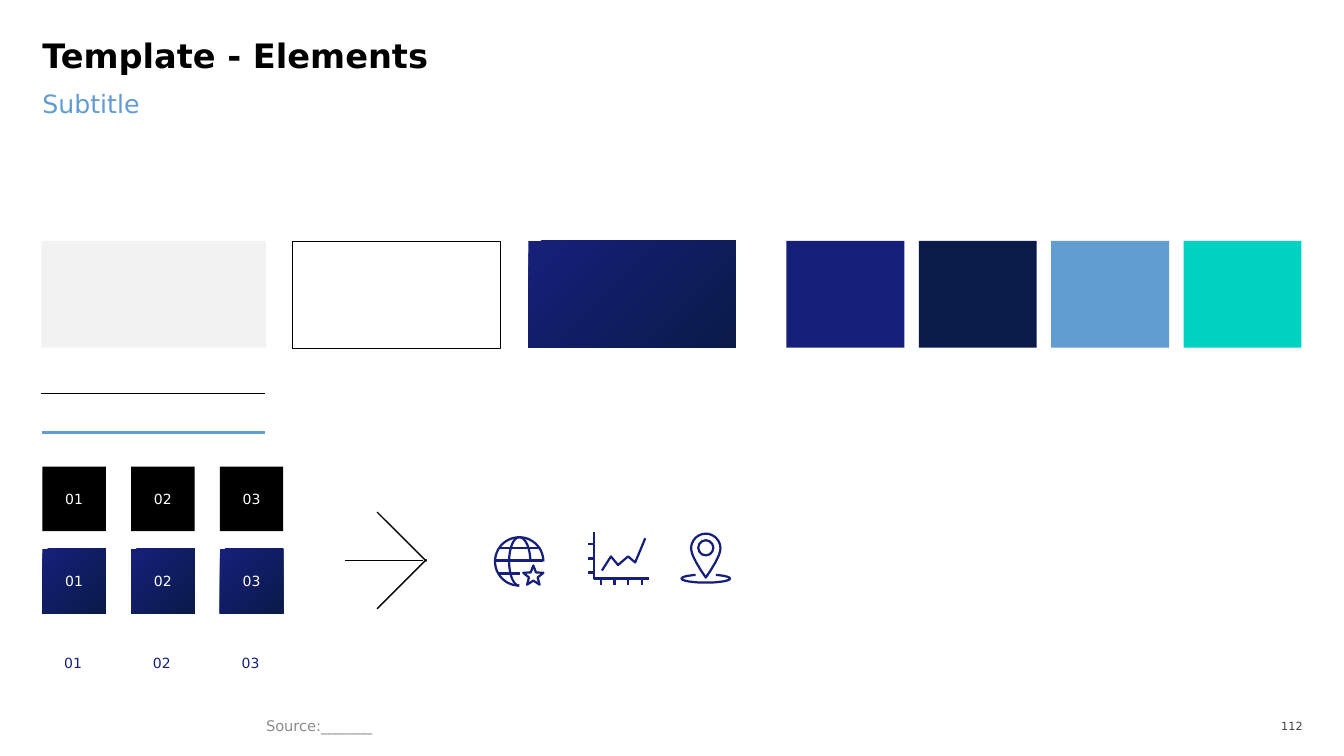
import math

import pptx
import pptx.util
import pptx.dml.color
import pptx.enum.shapes
import pptx.enum.text
import pptx.oxml.ns
from lxml import etree

COLORS = {
    "black": "000000", "white": "FFFFFF", "pale": "F2F2F2", "navy": "16207B",
    "midnight": "0A1A49", "sky": "629DD1", "subtitle": "629CD0",
    "teal": "00D2C2", "source": "8C8C8C", "number": "404040",
}
RGB = {name: pptx.dml.color.RGBColor.from_string(code) for name, code in COLORS.items()}
ALIGN = pptx.enum.text.PP_ALIGN
ANCHOR = pptx.enum.text.MSO_ANCHOR
SHAPE = pptx.enum.shapes.MSO_SHAPE
ICON_WIDTH = 1.6

deck = pptx.Presentation()
deck.slide_width = pptx.util.Inches(13.33)
deck.slide_height = pptx.util.Inches(7.5)
page = deck.slides.add_slide(deck.slide_layouts[6])
column = deck.slide_width / 133.3
row = deck.slide_height / 75


def write(box, text, size, color, align=ALIGN.LEFT, anchor=ANCHOR.TOP,
          bold=False, margins=(0, 0), after=0, spacing=1.0):
    frame = box.text_frame
    frame.word_wrap = True
    frame.vertical_anchor = anchor
    frame.margin_left = frame.margin_right = pptx.util.Inches(margins[0])
    frame.margin_top = frame.margin_bottom = pptx.util.Inches(margins[1])
    para = frame.paragraphs[0]
    para.alignment = align
    para.space_after = pptx.util.Pt(after)
    para.line_spacing = spacing
    span = para.add_run()
    span.text = text
    span.font.name = "DejaVu Sans"
    span.font.size = pptx.util.Pt(size)
    span.font.bold = bold
    span.font.color.rgb = RGB[color]


def trace(points, close=False):
    builder = page.shapes.build_freeform(
        round(points[0][0] * 100), round(points[0][1] * 100),
        scale=(column / 100, row / 100))
    builder.add_line_segments(
        [(round(x * 100), round(y * 100)) for x, y in points[1:]], close=close)
    outline = builder.convert_to_shape()
    outline.shadow.inherit = False
    outline.fill.background()
    outline.line.color.rgb = RGB["navy"]
    outline.line.width = pptx.util.Pt(ICON_WIDTH)


texts = [
    (4.2, 4.2, 124.9, 5.3, "Template - Elements",
     dict(size=24, color="black", bold=True, spacing=0.8)),
    (4.2, 8.8, 124.9, 6.3, "Subtitle", dict(size=18, color="subtitle", after=12)),
    (25.4, 70.7, 63.9, 2.6, "Source:_______",
     dict(size=10.5, color="source", anchor=ANCHOR.MIDDLE, margins=(0.1, 0.05))),
    (125, 70.9, 4.2, 2.3, "112",
     dict(size=8, color="number", align=ALIGN.RIGHT, anchor=ANCHOR.MIDDLE, after=12)),
]
for left, top, width, height, text, style in texts:
    box = page.shapes.add_textbox(
        round(left * column), round(top * row), round(width * column), round(height * row))
    write(box, text, **style)

rectangles = [
    (4.1, 23.9, 22.3, 10.6, "pale", None, None),
    (29, 23.9, 20.6, 10.6, "outline", None, None),
    (52.4, 23.9, 20.6, 10.6, "gradient", None, None),
]
for index, fill in enumerate(["navy", "midnight", "sky", "teal"]):
    rectangles.append((78 + 13.13 * index, 23.9, 11.7, 10.6, fill, None, None))
for line, (left, fill, ink) in enumerate([
        (4.2, "black", "white"), (4.2, "gradient", "white"), (4.1, "white", "navy")]):
    for index in range(3):
        rectangles.append((left + 8.8 * index, 46.3 + 8.15 * line, 6.3, 6.4,
                           fill, f"{index + 1:02}", ink))

for left, top, width, height, fill, label, ink in rectangles:
    box = page.shapes.add_shape(
        SHAPE.RECTANGLE, round(left * column), round(top * row),
        round(width * column), round(height * row))
    box.shadow.inherit = False
    box.line.fill.background()
    if fill == "outline":
        box.fill.background()
        box.line.color.rgb = RGB["black"]
        box.line.width = pptx.util.Pt(0.25)
    elif fill == "gradient":
        box.fill.gradient()
        box.fill.gradient_angle = 315
        for stop, color, position in zip(
                box.fill.gradient_stops, ["navy", "midnight"], [0, 0.99]):
            stop.color.rgb = RGB[color]
            stop.position = position
    else:
        box.fill.solid()
        box.fill.fore_color.rgb = RGB[fill]
    if label:
        write(box, label, size=10, color=ink, align=ALIGN.CENTER, anchor=ANCHOR.MIDDLE)

lines = [
    (4.1, 39, 26.3, 39, "black", 0.25),
    (4.2, 42.9, 26.3, 42.9, "sky", 2.25),
    (37.4, 50.8, 42.3, 55.7, "black", 1),
    (42.3, 55.5, 37.4, 60.4, "black", 1),
    (34.2, 55.6, 42, 55.6, "black", 1),
]
globe_lines = [(49.6, 53.6, 54.4), (49.1, 53.9, 55.6), (49.5, 51.6, 56.9)]
lines += [(start, y, end, y, "navy", ICON_WIDTH) for start, end, y in globe_lines]
lines += [(58.3, 54 + 1.4 * tick, 58.9, 54 + 1.4 * tick, "navy", ICON_WIDTH)
          for tick in range(3)]
lines += [(59.6 + 1.35 * tick, 57.4, 59.6 + 1.35 * tick, 58, "navy", ICON_WIDTH)
          for tick in range(4)]
for x1, y1, x2, y2, color, width in lines:
    rule = page.shapes.add_connector(
        pptx.enum.shapes.MSO_CONNECTOR.STRAIGHT, round(x1 * column), round(y1 * row),
        round(x2 * column), round(y2 * row))
    rule.line.color.rgb = RGB[color]
    rule.line.width = pptx.util.Pt(width)
    etree.SubElement(rule._element.spPr, pptx.oxml.ns.qn("a:effectLst"))

arcs = [
    (51.5, 55.7, 2.4, 2.4, 90, 360),
    (51.5, 55.7, 1, 2.4, 90, 270),
    (51.5, 55.7, 1.1, 2.4, 270, 360),
    (70, 57.4, 2.4, 0.4, -65, 245),
]
for x, y, across, down, start, end in arcs:
    angles = [math.radians(start + (end - start) * step / 40) for step in range(41)]
    trace([(x + across * math.cos(a), y + down * math.sin(a)) for a in angles])

star = []
for corner in range(10):
    angle = math.radians(36 * corner - 90)
    radius = 0.45 if corner % 2 else 1.05
    star.append((52.9 + radius * math.cos(angle), 57.15 + radius * math.sin(angle)))
trace(star, close=True)

trace([(58.9, 52.8), (58.9, 57.4), (64.4, 57.4)])
trace([(59.7, 56.6), (60.6, 55.2), (61.3, 56.05), (62.3, 55.2), (63, 55.8), (64, 53.4)])

pin = [(70 + 1.45 * math.cos(math.radians(a)), 54.4 + 1.45 * math.sin(math.radians(a)))
       for a in range(180, 361, 6)]
side = []
for step in range(1, 21):
    t = step / 20
    weights = [(1 - t) ** 3, 3 * t * (1 - t) ** 2, 3 * t ** 2 * (1 - t), t ** 3]
    side.append((sum(w * x for w, x in zip(weights, [1.45, 1.45, 0.4, 0])),
                 sum(w * y for w, y in zip(weights, [54.4, 55.2, 56.7, 57.3]))))
pin += [(70 + x, y) for x, y in side]
pin += [(70 - x, y) for x, y in reversed(side[:-1])]
trace(pin, close=True)

pin_eye = page.shapes.add_shape(
    SHAPE.OVAL, round(69.25 * column), round(53.6 * row),
    round(1.5 * column), round(1.5 * row))
pin_eye.shadow.inherit = False
pin_eye.fill.background()
pin_eye.line.color.rgb = RGB["navy"]
pin_eye.line.width = pptx.util.Pt(ICON_WIDTH)

deck.save("out.pptx")
